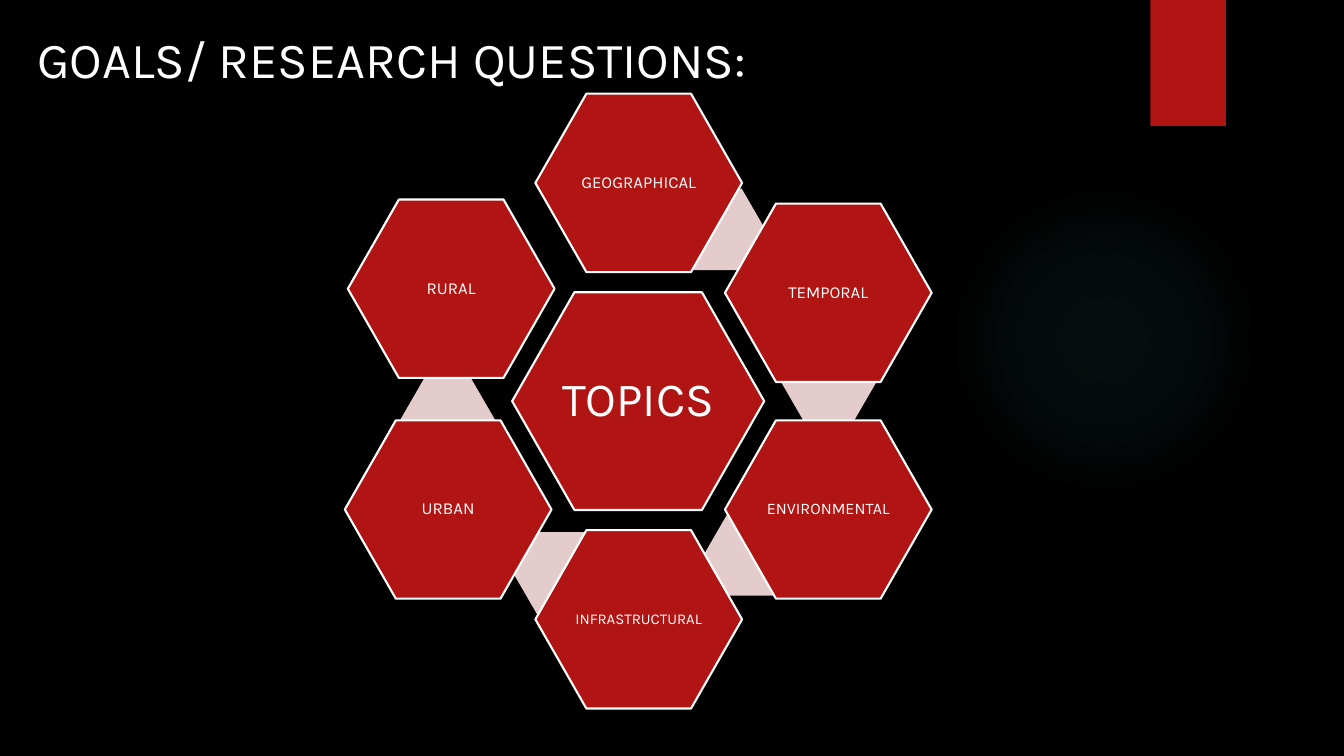
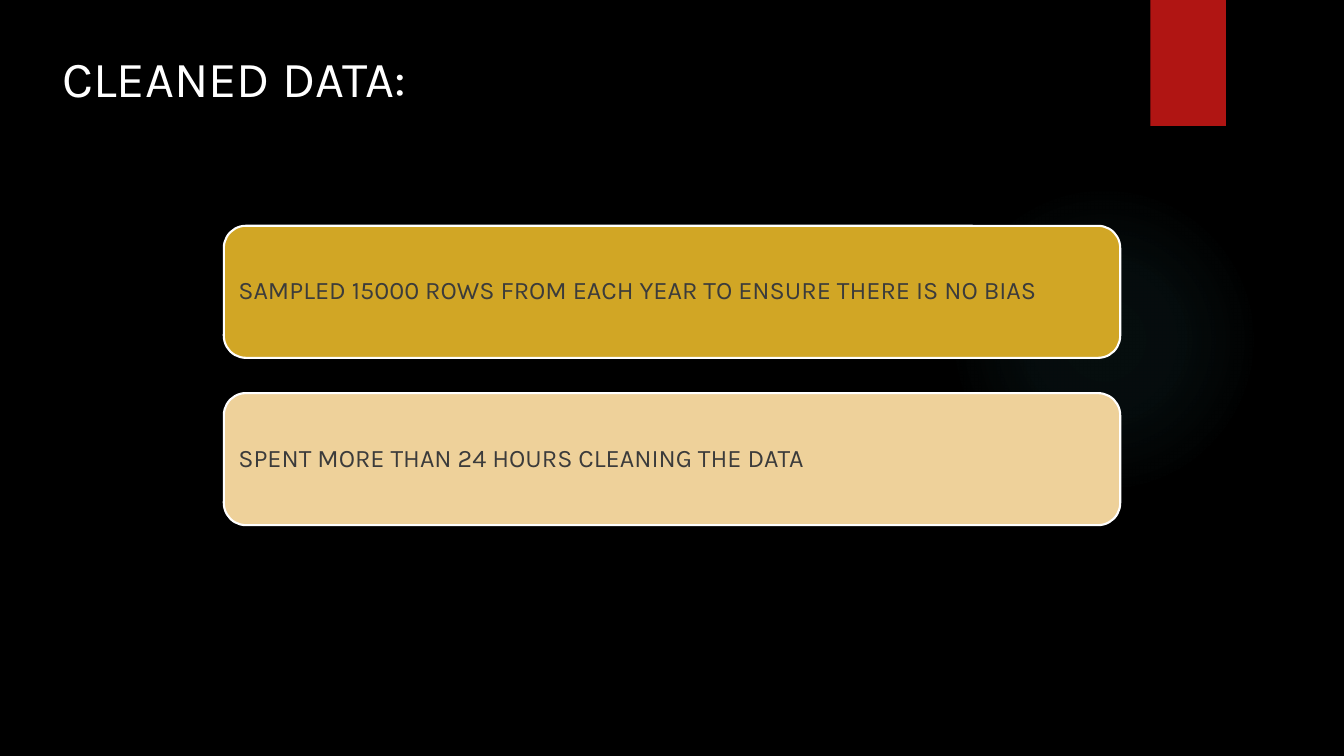
from lxml import etree
from pptx import Presentation
from pptx.dml.color import RGBColor
from pptx.enum.shapes import MSO_SHAPE as Kind
from pptx.enum.text import MSO_ANCHOR as Anchor, MSO_AUTO_SIZE as Auto, PP_ALIGN as Align
from pptx.oxml.ns import nsdecls
from pptx.util import Inches, Pt

RED, WHITE, BLACK = "B01513", "FFFFFF", "000000"
PINK, GOLD, SAND, GREY, TEAL = "E4CCCC", "D1A625", "EED19A", "3B3B3B", "50B9C1"
hue = RGBColor.from_string


def draw(page, kind, box, fill, edge=None, adj=None):
    shape = page.shapes.add_shape(kind, *map(Inches, box))
    shape.shadow.inherit = False
    shape.fill.solid()
    shape.fill.fore_color.rgb = hue(fill)
    if edge:
        shape.line.color.rgb = hue(edge)
        shape.line.width = Pt(1.5)
    else:
        shape.line.fill.background()
    if adj:
        shape.adjustments[0] = adj
    return shape


def write(shape, text, size, tint, align, anchor, wrap, inset, space=1.0):
    frame = shape.text_frame
    frame.word_wrap = wrap
    frame.vertical_anchor = anchor
    frame.margin_left = frame.margin_right = Inches(inset)
    frame.margin_top = frame.margin_bottom = Inches(0.05)
    para = frame.paragraphs[0]
    para.alignment = align
    para.line_spacing = space
    run = para.add_run()
    run.text = text
    run.font.size = Pt(size)
    run.font.name = "Karla"
    run.font.color.rgb = hue(tint)


deck = Presentation()
deck.slide_width, deck.slide_height = Inches(13.33), Inches(7.5)
base = deck.slide_layouts[5]
base.background.fill.solid()
base.background.fill.fore_color.rgb = hue(BLACK)

heads = [
    ("GOALS/ RESEARCH QUESTIONS:", (0.27, 0.23, 7.38, 0.71)),
    ("CLEANED DATA:", (0.52, 0.42, 4.03, 0.71)),
]
pages = []
for text, box in heads:
    page = deck.slides.add_slide(base)
    title = page.shapes.title
    title.left, title.top, title.width, title.height = map(Inches, box)
    write(title, text, 36, WHITE, Align.LEFT, Anchor.TOP, False, 0.1)
    title.text_frame.auto_size = Auto.SHAPE_TO_FIT_TEXT
    pages.append(page)
goals, clean = pages

glow = draw(goals, Kind.OVAL, (9.41, 1.83, 3.08, 3.08), TEAL)
stops = "".join(
    f'<a:gs pos="{pos}000"><a:srgbClr val="{TEAL}"><a:alpha val="{alpha}000"/></a:srgbClr></a:gs>'
    for pos, alpha in [(0, 7), (36, 6), (69, 0), (100, 0)]
)
grad = etree.fromstring(
    f'<a:gradFill {nsdecls("a")} rotWithShape="1"><a:gsLst>{stops}</a:gsLst><a:path path="circle">'
    '<a:fillToRect l="50000" t="50000" r="50000" b="50000"/></a:path></a:gradFill>'
)
solid = glow.element.spPr.find("{*}solidFill")
solid.getparent().replace(solid, grad)
band = draw(goals, Kind.RECTANGLE, (11.41, 0, 0.75, 1.25), RED)
for shape in (glow, band):
    base.shapes.element.append(shape.element)

hub = draw(goals, Kind.HEXAGON, (5.08, 2.9, 2.5, 2.16), RED, WHITE, 0.286)
write(hub, "TOPICS", 34, WHITE, Align.CENTER, Anchor.MIDDLE, False, 0, 0.9)

topics = [
    ("GEOGRAPHICAL", 12, (5.31, 0.93), (6.65, 1.87)),
    ("TEMPORAL", 12, (7.19, 2.02), (7.75, 3.39)),
    ("ENVIRONMENTAL", 11.5, (7.19, 4.17), (6.98, 5.1)),
    ("INFRASTRUCTURAL", 10.7, (5.31, 5.26), (5.09, 5.28)),
    ("URBAN", 12, (3.42, 4.17), (3.97, 3.76)),
    ("RURAL", 12, (3.45, 1.98), None),
]
for text, size, spot, link in topics:
    if link:
        draw(goals, Kind.HEXAGON, (*link, 0.94, 0.81), PINK, adj=0.289)
    cell = draw(goals, Kind.HEXAGON, (*spot, 2.05, 1.77), RED, WHITE, 0.286)
    write(cell, text, size, WHITE, Align.CENTER, Anchor.MIDDLE, False, 0, 0.9)

steps = [
    ("SAMPLED 15000 ROWS FROM EACH YEAR TO ENSURE THERE IS NO BIAS", GOLD),
    ("SPENT MORE THAN 24 HOURS CLEANING THE DATA", SAND),
]
for row, (text, fill) in enumerate(steps):
    card = draw(clean, Kind.ROUNDED_RECTANGLE, (2.22, 2.24 + row * 1.66, 8.89, 1.31), fill, WHITE)
    write(card, text, 18, GREY, Align.LEFT, Anchor.MIDDLE, True, 0.08, 0.9)

deck.save("out.pptx")
